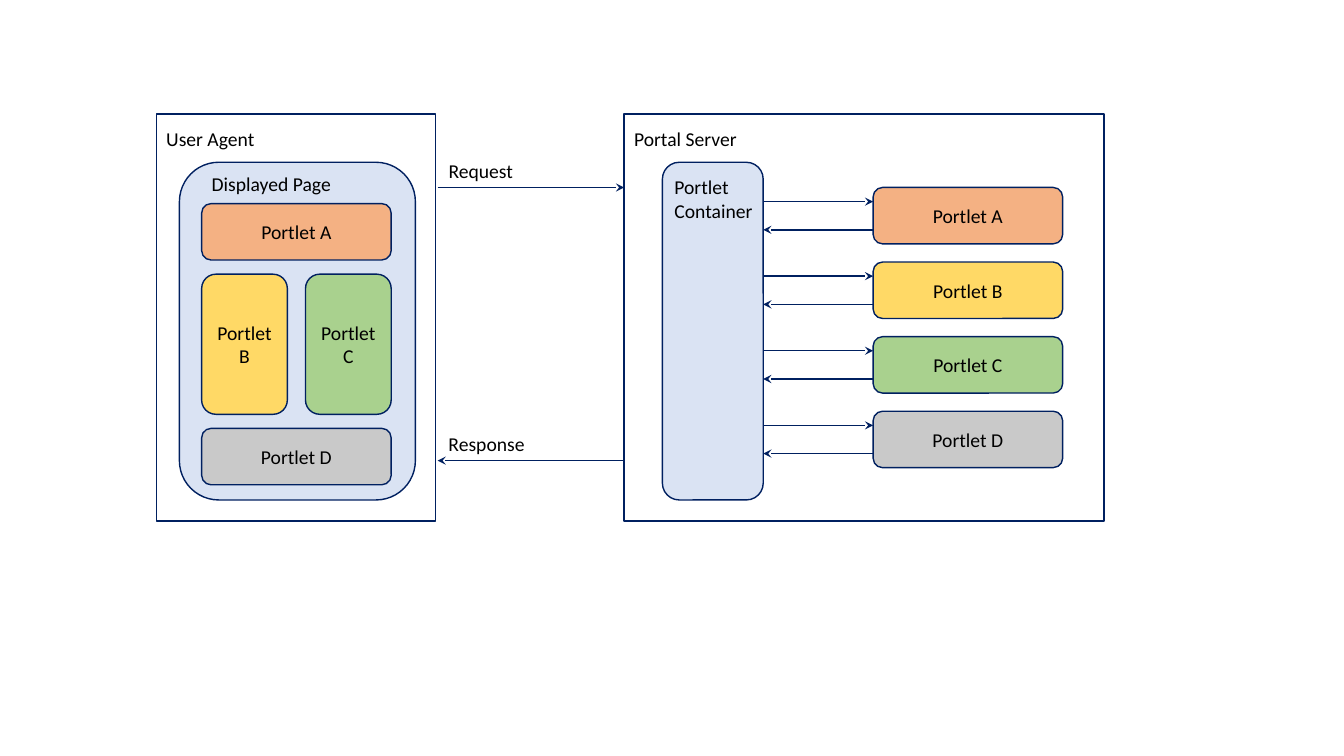
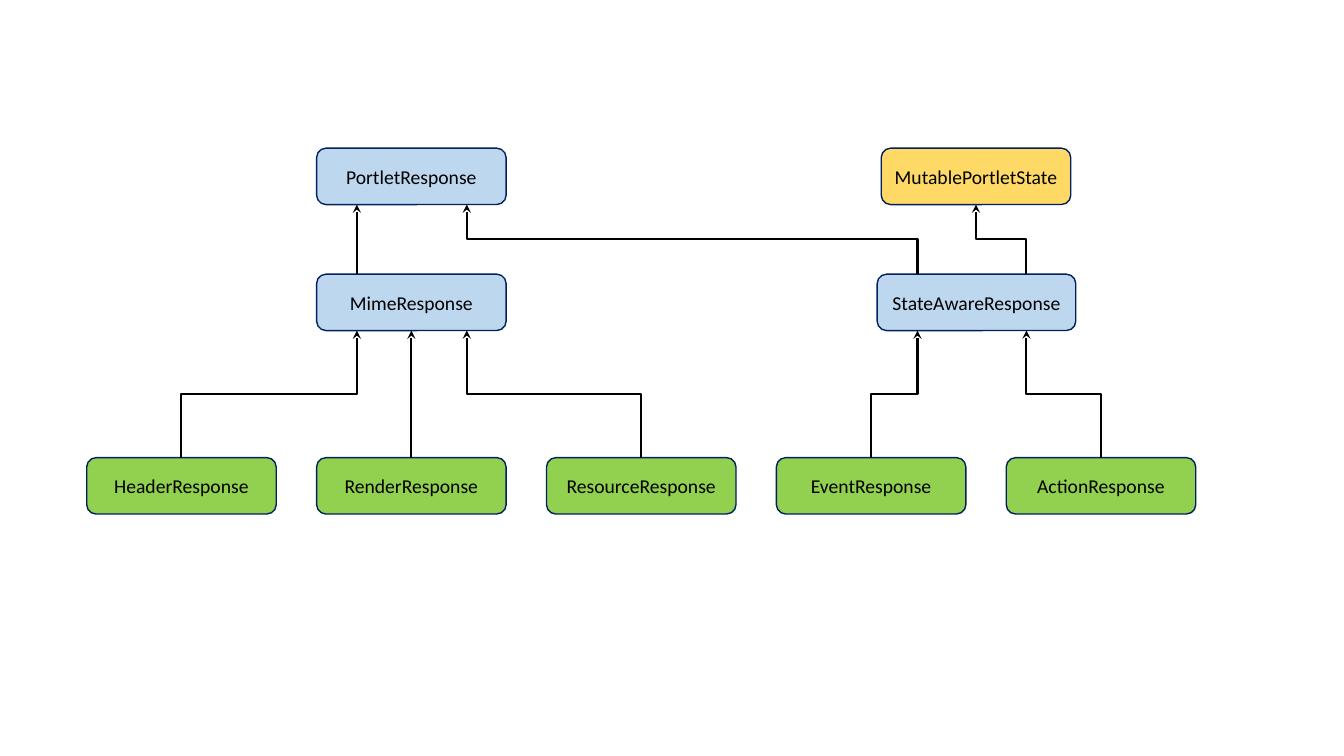
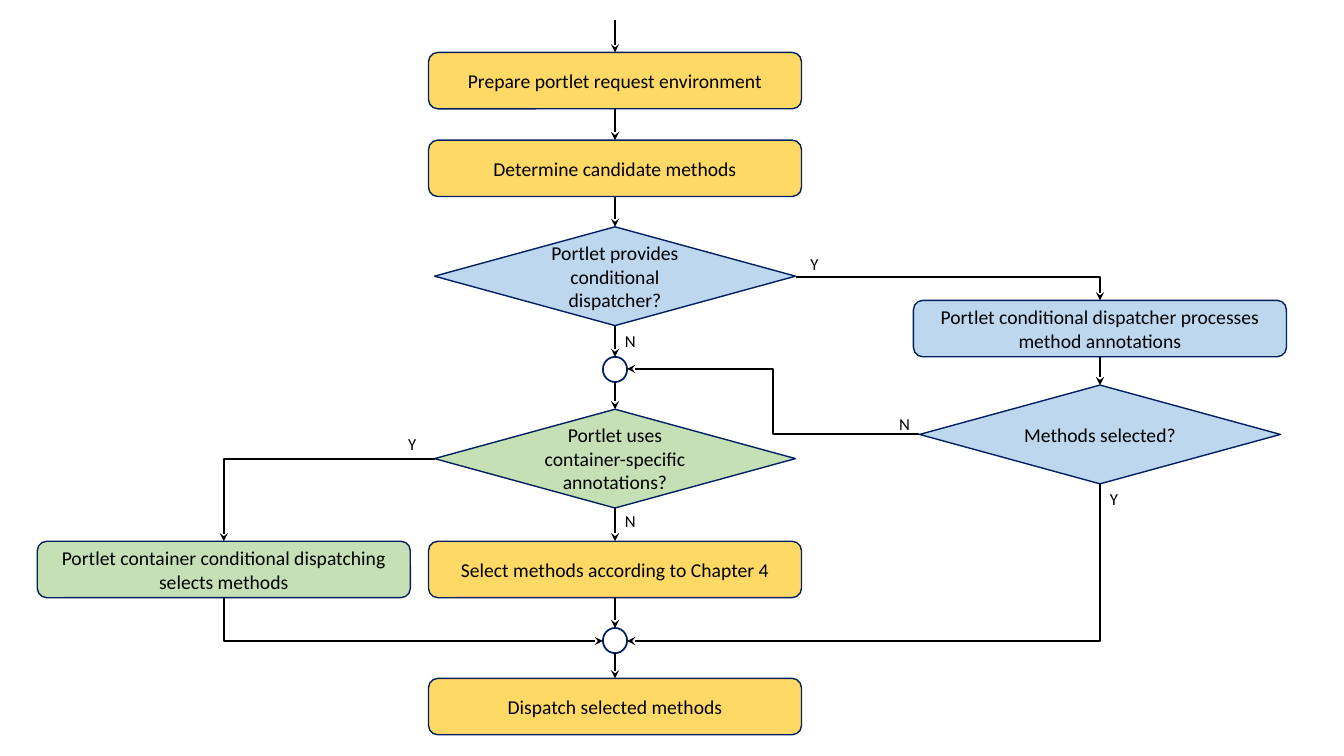
from lxml import etree
from pptx import Presentation
from pptx.dml.color import RGBColor
from pptx.enum.shapes import MSO_CONNECTOR, MSO_SHAPE
from pptx.enum.text import MSO_ANCHOR, PP_ALIGN
from pptx.oxml.ns import qn
from pptx.util import Inches, Pt

LINE, ELBOW = MSO_CONNECTOR.STRAIGHT, MSO_CONNECTOR.ELBOW
RECT, ROUND = MSO_SHAPE.RECTANGLE, MSO_SHAPE.ROUNDED_RECTANGLE
DIAMOND, JOINT = MSO_SHAPE.FLOWCHART_DECISION, MSO_SHAPE.FLOWCHART_CONNECTOR
LEFT, CENTER = PP_ALIGN.LEFT, PP_ALIGN.CENTER
TOP, MIDDLE = MSO_ANCHOR.TOP, MSO_ANCHOR.MIDDLE

FONT = "Calibri"
NAVY, BLACK = "002060", "000000"
PALE, BLUE = "DAE3F3", "BDD7EE"
ORANGE, GOLD, GRAY = "F4B183", "FFD966", "C9C9C9"
GREEN, MINT, LIME = "A9D18E", "C5E0B4", "92D050"
BOX_W, BOX_H = 1.88, 0.56
STEP_W = 3.7
ASK_W, ASK_H = 3.58, 0.98
DOT_W, DOT_H = 0.24, 0.25


def color(code):
    return RGBColor.from_string(code)


def write(frame, text, size=14, ink=BLACK, align=LEFT, anchor=TOP, wrap=True):
    """Fill a text frame; each line of text becomes a paragraph."""
    frame.text = text
    frame.word_wrap = wrap
    frame.vertical_anchor = anchor
    for para in frame.paragraphs:
        para.alignment = align
        para.font.name = FONT
        para.font.size = Pt(size)
        para.font.color.rgb = color(ink)


def label(slide, text, x, y, w, h=0.34, size=14):
    box = slide.shapes.add_textbox(Inches(x), Inches(y), Inches(w), Inches(h))
    write(box.text_frame, text, size=size, wrap=False)


def box(slide, x, y, w, h, fill=None, text="", kind=ROUND, width=1):
    shape = slide.shapes.add_shape(kind, Inches(x), Inches(y), Inches(w), Inches(h))
    shape.shadow.inherit = False
    shape.line.color.rgb = color(NAVY)
    shape.line.width = Pt(width)
    if fill:
        shape.fill.solid()
        shape.fill.fore_color.rgb = color(fill)
    else:
        shape.fill.background()
    if text:
        write(shape.text_frame, text, align=CENTER, anchor=MIDDLE)


def arrow(slide, start, end, ink=BLACK, width=1.5, kind=LINE):
    link = slide.shapes.add_connector(kind, *map(Inches, (*start, *end)))
    link.line.color.rgb = color(ink)
    link.line.width = Pt(width)
    etree.SubElement(link.line._get_or_add_ln(), qn("a:tailEnd"), type="stealth")
    etree.SubElement(link._element.spPr, qn("a:effectLst"))
    return link


def elbow(slide, start, end, rise=False, turns=2):
    """Bent arrow that leaves start sideways, or up or down if rise is set."""
    (x1, y1), (x2, y2) = start, end
    if rise:
        # The connector is laid out sideways, then turned about its middle.
        mx, my = (x1 + x2) / 2, (y1 + y2) / 2
        half = abs(y2 - y1) / 2
        lean = (x2 - x1 if y2 < y1 else x1 - x2) / 2
        start, end = (mx - half, my - lean), (mx + half, my + lean)
    link = arrow(slide, start, end, kind=ELBOW)
    props = link._element.spPr
    if rise:
        turn = 270 if y2 < y1 else 90
        props.find(qn("a:xfrm")).set("rot", str(turn * 60000))
    props.find(qn("a:prstGeom")).set("prst", f"bentConnector{turns + 1}")


def portal(slide):
    top, high = 1.13, 4.04
    box(slide, 1.55, top, 2.77, high, kind=RECT)
    box(slide, 6.19, top, 4.76, high, kind=RECT)
    for x, w in ((1.78, 2.34), (6.57, 1)):
        box(slide, x, 1.61, w, 3.35, PALE)

    label(slide, "User Agent", 1.55, 1.21, 1.09)
    label(slide, "Portal Server", 6.19, 1.21, 1.22)
    label(slide, "Displayed Page", 2, 1.66, 1.4)
    label(slide, "Portlet\nContainer", 6.59, 1.69, 0.99, 0.57)
    label(slide, "Request", 4.35, 1.53, 0.85)
    label(slide, "Response", 4.35, 4.24, 0.97)
    arrow(slide, (4.34, 1.86), (6.19, 1.86), NAVY, 1)
    arrow(slide, (6.19, 4.57), (4.34, 4.57), NAVY, 1)

    parts = (
        ("Portlet A", ORANGE, 2, 2.02, BOX_W, BOX_H),
        ("Portlet B", GOLD, 2, 2.72, 0.85, 1.39),
        ("Portlet C", GREEN, 3.03, 2.72, 0.85, 1.39),
        ("Portlet D", GRAY, 2, 4.25, BOX_W, BOX_H),
    )
    near, far = 7.57, 8.66
    for i, (name, fill, *place) in enumerate(parts):
        box(slide, *place, fill, name)
        y = 1.86 + 0.74 * i
        box(slide, far, y, BOX_W, BOX_H, fill, name)
        arrow(slide, (near, y + 0.14), (far, y + 0.14), NAVY, 1)
        arrow(slide, (far, y + 0.42), (near, y + 0.42), NAVY, 1)


def classes(slide):
    root, mid, leaf = 1.47, 2.72, 4.54
    base, foot = root + BOX_H, mid + BOX_H
    left, pitch = 0.86, 2.28
    box(slide, 3.14, root, BOX_W, BOX_H, BLUE, "PortletResponse")
    box(slide, 8.74, root, BOX_W, BOX_H, GOLD, "MutablePortletState")
    box(slide, 3.14, mid, BOX_W, BOX_H, BLUE, "MimeResponse")
    box(slide, 8.7, mid, 1.97, BOX_H, BLUE, "StateAwareResponse")

    arrow(slide, (3.54, mid), (3.54, base))
    elbow(slide, (9.1, mid), (4.63, base), rise=True)
    elbow(slide, (10.18, mid), (9.68, base), rise=True)

    leaves = (("Header", 3.54), ("Render", 4.08), ("Resource", 4.63),
              ("Event", 9.1), ("Action", 10.18))
    for i, (name, goal) in enumerate(leaves):
        x = left + pitch * i
        box(slide, x, leaf, BOX_W, BOX_H, LIME, name + "Response")
        center = round(x + BOX_W / 2, 2)
        if center == goal:
            arrow(slide, (center, leaf), (goal, foot))
        else:
            elbow(slide, (center, leaf), (goal, foot), rise=True)


def flow(slide):
    west, axis, east = 2.22, 6.1, 10.91
    steps = (
        (axis, 0.52, GOLD, "Prepare portlet request environment"),
        (axis, 1.39, GOLD, "Determine candidate methods"),
        (axis, 5.37, GOLD, "Select methods according to Chapter 4"),
        (axis, 6.73, GOLD, "Dispatch selected methods"),
        (east, 2.98, BLUE,
         "Portlet conditional dispatcher processes method annotations"),
        (west, 5.37, MINT,
         "Portlet container conditional dispatching selects methods"),
    )
    for x, y, fill, text in steps:
        box(slide, x - STEP_W / 2, y, STEP_W, BOX_H, fill, text)
    asks = (
        (axis, 2.25, BLUE, "Portlet provides conditional dispatcher?"),
        (axis, 4.06, MINT, "Portlet uses container-specific annotations?"),
        (east, 3.82, BLUE, "Methods selected?"),
    )
    for x, y, fill, text in asks:
        box(slide, x - ASK_W / 2, y, ASK_W, ASK_H, fill, text, DIAMOND)
    for y in (3.54, 6.23):
        box(slide, axis - DOT_W / 2, y, DOT_W, DOT_H, kind=JOINT, width=1.25)

    drops = ((0.2, 0.52), (1.08, 1.39), (1.95, 2.25), (3.23, 3.54),
             (3.79, 4.06), (5.04, 5.37), (5.93, 6.23), (6.48, 6.73))
    for y1, y2 in drops:
        arrow(slide, (axis, y1), (axis, y2))
    arrow(slide, (east, 3.54), (east, 3.82))

    side, edge = ASK_W / 2, DOT_W / 2
    elbow(slide, (axis + side, 2.75), (east, 2.98), turns=1)
    elbow(slide, (axis - side, 4.55), (west, 5.37), turns=1)
    elbow(slide, (east - side, 4.31), (axis + edge, 3.66))
    elbow(slide, (east, 4.8), (axis + edge, 6.36), rise=True, turns=1)
    elbow(slide, (west, 5.93), (axis - edge, 6.36), rise=True, turns=1)

    marks = (("Y", 7.94, 2.47), ("Y", east, 4.8), ("Y", 3.95, 4.25),
             ("N", axis, 3.23), ("N", axis, 5.02), ("N", 8.82, 4.06))
    for text, x, y in marks:
        label(slide, text, x, y, 0.3, 0.3, size=12)


def main():
    deck = Presentation()
    deck.slide_width, deck.slide_height = Inches(13.33), Inches(7.5)
    blank = deck.slide_layouts.get_by_name("Blank")
    for draw in (portal, classes, flow):
        draw(deck.slides.add_slide(blank))
    deck.save("out.pptx")


if __name__ == "__main__":
    main()
